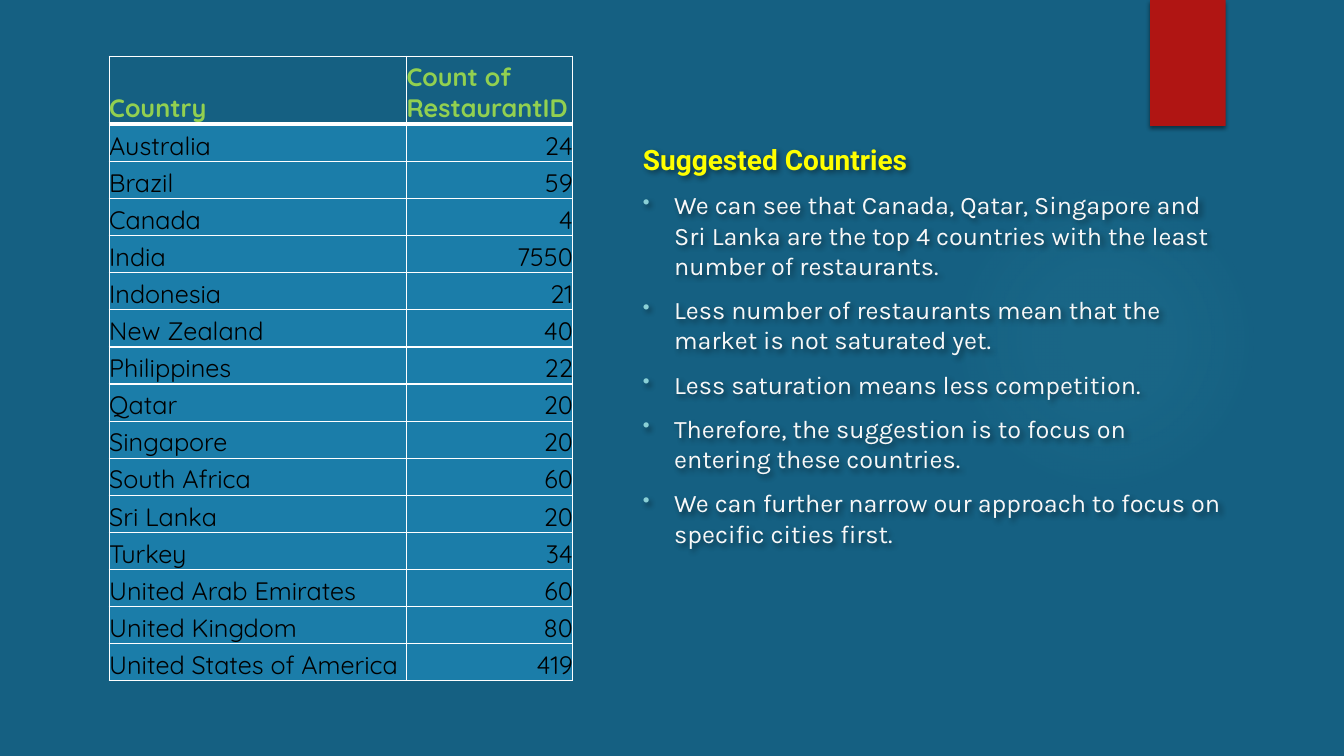
from dataclasses import dataclass

from pptx import Presentation
from pptx import util as u
from pptx.dml.color import RGBColor
from pptx.enum import shapes, text
from pptx.oxml import parse_xml
from pptx.oxml.ns import nsdecls, qn

# The page is a grid of 160 columns and 90 rows
COLUMNS, ROWS = 160, 90
PAGE_WIDTH, PAGE_HEIGHT = u.Inches(13.33), u.Inches(7.5)

NAVY = RGBColor(0x15, 0x60, 0x82)
BLUE = RGBColor(0x1B, 0x7D, 0xA9)
AQUA = RGBColor(0x50, 0xB9, 0xC1)
MINT = RGBColor(0x8A, 0xD0, 0xD6)
RED = RGBColor(0xB0, 0x15, 0x13)
GREEN = RGBColor(0x92, 0xD0, 0x50)
YELLOW = RGBColor(0xFF, 0xFF, 0x00)
OFF_WHITE = RGBColor(0xF8, 0xF8, 0xF8)
WHITE = RGBColor(0xFF, 0xFF, 0xFF)
BLACK = RGBColor(0, 0, 0)


@dataclass(frozen=True)
class Area:
    """A rectangle in grid columns and rows."""
    column: float
    row: float
    width: float
    height: float

    def place(self) -> tuple[int, int, int, int]:
        return (across(self.column), down(self.row),
                across(self.width), down(self.height))


@dataclass(frozen=True)
class Country:
    name: str
    restaurants: int


GLOW = Area(112.92, 21.96, 36.96, 36.96)
RIBBON = Area(136.92, 0, 9, 15)
ADVICE = Area(75.36, 16.32, 71.64, 73.2)
TABLE_COLUMN, TABLE_ROW = 13, 6.7
TABLE_WIDTHS = (35.4, 19.8)
HEADER_HEIGHT, COUNTRY_HEIGHT = 8.1, 4.42

HEADINGS = ("Country", "Count of RestaurantID")
COUNTRIES = (
    Country("Australia", 24),
    Country("Brazil", 59),
    Country("Canada", 4),
    Country("India", 7550),
    Country("Indonesia", 21),
    Country("New Zealand", 40),
    Country("Philippines", 22),
    Country("Qatar", 20),
    Country("Singapore", 20),
    Country("South Africa", 60),
    Country("Sri Lanka", 20),
    Country("Turkey", 34),
    Country("United Arab Emirates", 60),
    Country("United Kingdom", 80),
    Country("United States of America", 419),
)
SUGGESTIONS = (
    "We can see that Canada, Qatar, Singapore and Sri Lanka are the top 4 "
    "countries with the least number of restaurants.",
    "Less number of restaurants mean that the market is not saturated yet.",
    "Less saturation means less competition.",
    "Therefore, the suggestion is to focus on entering these countries.",
    "We can further narrow our approach to focus on specific cities first.",
)


def across(columns: float) -> int:
    return round(PAGE_WIDTH * columns / COLUMNS)


def down(rows: float) -> int:
    return round(PAGE_HEIGHT * rows / ROWS)


def write(paragraph, words: str, *, font: str, size: float, color: RGBColor,
          bold: bool = False, align=text.PP_ALIGN.LEFT) -> None:
    paragraph.alignment = align
    span = paragraph.add_run()
    span.text = words
    span.font.name = font
    span.font.size = u.Pt(size)
    span.font.bold = bold
    span.font.color.rgb = color


def add_shadow(shape, *, blur: float, distance: float, angle: int) -> None:
    shape.shadow.inherit = False
    effects = shape._element.spPr.find(qn("a:effectLst"))
    effects.append(parse_xml(
        f'<a:outerShdw {nsdecls("a")} blurRad="{u.Pt(blur)}" '
        f'dist="{u.Pt(distance)}" dir="{angle * 60000}" algn="tl" '
        f'rotWithShape="0"><a:srgbClr val="{BLACK}">'
        f'<a:alpha val="45000"/></a:srgbClr></a:outerShdw>'))


def add_glow(page) -> None:
    glow = page.shapes.add_shape(shapes.MSO_SHAPE.OVAL, *GLOW.place())
    glow.shadow.inherit = False
    glow.line.fill.background()
    glow.fill.background()
    stops = "".join(
        f'<a:gs pos="{position * 1000}"><a:srgbClr val="{AQUA}">'
        f'<a:alpha val="{opacity * 1000}"/></a:srgbClr></a:gs>'
        for position, opacity in ((0, 7), (36, 6), (69, 0)))
    properties = glow._element.spPr
    properties.replace(properties.find(qn("a:noFill")), parse_xml(
        f'<a:gradFill {nsdecls("a")} rotWithShape="1"><a:gsLst>{stops}</a:gsLst>'
        f'<a:path path="circle"><a:fillToRect l="50000" t="50000" '
        f'r="50000" b="50000"/></a:path></a:gradFill>'))


def add_ribbon(page) -> None:
    ribbon = page.shapes.add_shape(shapes.MSO_SHAPE.RECTANGLE, *RIBBON.place())
    ribbon.fill.solid()
    ribbon.fill.fore_color.rgb = RED
    ribbon.line.fill.background()
    add_shadow(ribbon, blur=3, distance=2, angle=90)


def add_bullet(paragraph) -> None:
    properties = paragraph._p.get_or_add_pPr()
    indent = u.Inches(0.31)
    properties.set("marL", str(indent))
    properties.set("indent", str(-indent))
    for bullet in (f'<a:buClr {nsdecls("a")}><a:srgbClr val="{MINT}"/></a:buClr>',
                   f'<a:buSzPct {nsdecls("a")} val="80000"/>',
                   f'<a:buChar {nsdecls("a")} char="•"/>'):
        properties.append(parse_xml(bullet))


def add_advice(page) -> None:
    box = page.shapes.add_textbox(*ADVICE.place())
    add_shadow(box, blur=4, distance=3, angle=45)
    frame = box.text_frame
    frame.word_wrap = True
    write(frame.paragraphs[0], "Suggested Countries",
          font="Roboto", size=20, color=YELLOW, bold=True)
    for suggestion in SUGGESTIONS:
        paragraph = frame.add_paragraph()
        add_bullet(paragraph)
        paragraph.space_before = u.Pt(10)
        write(paragraph, suggestion, font="Karla", size=18, color=OFF_WHITE)


def add_borders(cell, *, top: float, bottom: float) -> None:
    properties = cell._tc.get_or_add_tcPr()
    edges = (("L", 1), ("R", 1), ("T", top), ("B", bottom))
    for place, (side, width) in enumerate(edges):
        properties.insert(place, parse_xml(
            f'<a:ln{side} {nsdecls("a")} w="{u.Pt(width)}"><a:solidFill>'
            f'<a:srgbClr val="{WHITE}"/></a:solidFill></a:ln{side}>'))


def add_country_table(page) -> None:
    lines = [HEADINGS] + [(c.name, str(c.restaurants)) for c in COUNTRIES]
    heights = [HEADER_HEIGHT] + [COUNTRY_HEIGHT] * len(COUNTRIES)
    area = Area(TABLE_COLUMN, TABLE_ROW, sum(TABLE_WIDTHS), sum(heights))
    table = page.shapes.add_table(
        len(lines), len(HEADINGS), *area.place()).table
    for column, width in zip(table.columns, TABLE_WIDTHS):
        column.width = across(width)
    for row, height in zip(table.rows, heights):
        row.height = down(height)
    for i, line in enumerate(lines):
        header = i == 0
        for j, words in enumerate(line):
            cell = table.cell(i, j)
            cell.margin_left = cell.margin_right = 0
            cell.margin_top = cell.margin_bottom = 0
            cell.vertical_anchor = text.MSO_ANCHOR.BOTTOM
            cell.fill.solid()
            cell.fill.fore_color.rgb = NAVY if header else BLUE
            add_borders(cell, top=3 if i == 1 else 1, bottom=3 if header else 1)
            number = j == 1 and not header
            write(cell.text_frame.paragraphs[0], words, font="Quicksand",
                  size=18, color=GREEN if header else BLACK, bold=header,
                  align=text.PP_ALIGN.RIGHT if number else text.PP_ALIGN.LEFT)


def main() -> None:
    deck = Presentation()
    deck.slide_width, deck.slide_height = PAGE_WIDTH, PAGE_HEIGHT
    page = deck.slides.add_slide(deck.slide_layouts[6])
    page.background.fill.solid()
    page.background.fill.fore_color.rgb = NAVY
    add_glow(page)
    add_ribbon(page)
    add_advice(page)
    add_country_table(page)
    deck.save("out.pptx")


if __name__ == "__main__":
    main()
